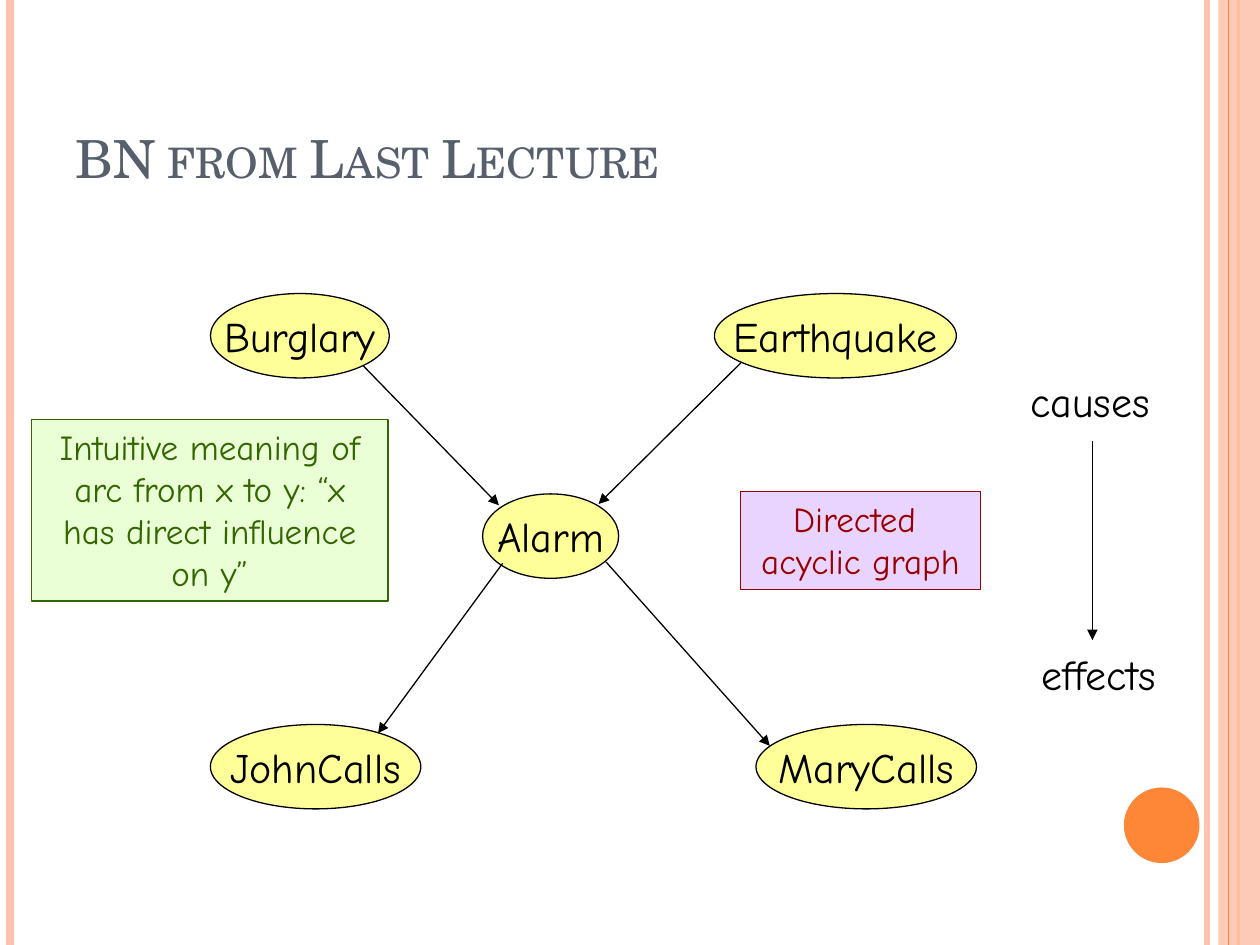
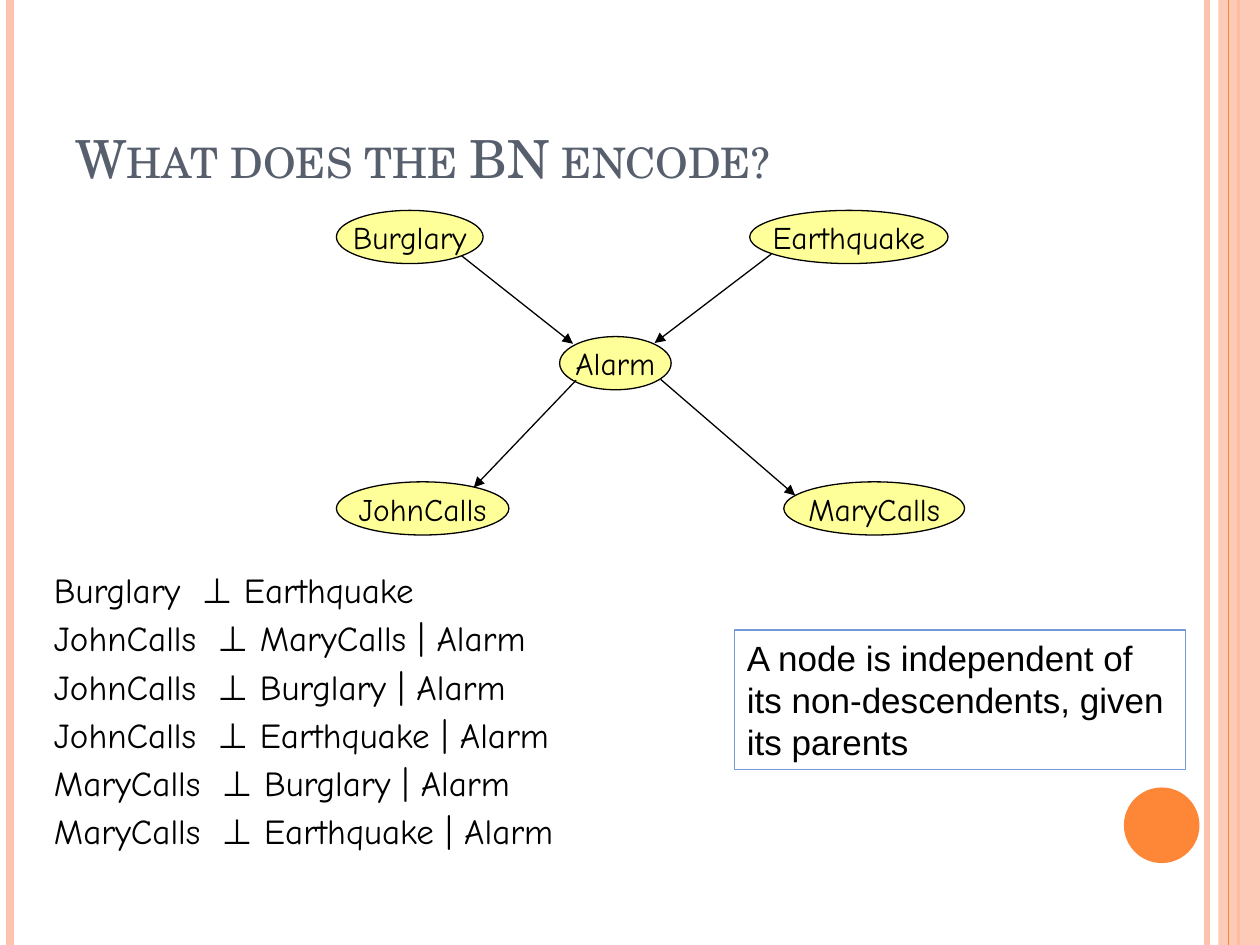
from pptx import Presentation
from pptx.util import Inches, Pt
from pptx.dml.color import RGBColor as RGB
from pptx.enum.shapes import MSO_SHAPE as Shape, MSO_CONNECTOR as Conn
from pptx.enum.text import PP_ALIGN as Align, MSO_ANCHOR as Anchor
from pptx.oxml.ns import qn
from lxml.etree import SubElement as Sub

PEACH = RGB(0xFE, 0xC3, 0xAE)
ORANGE = RGB(0xFE, 0x86, 0x37)
SLATE = RGB(0x57, 0x5F, 0x6D)
BLACK = RGB(0, 0, 0)
CREAM = RGB(0xFF, 0xFF, 0x99)
LILAC = RGB(0xE9, 0xD3, 0xFF)
RED = RGB(0x99, 0, 0)
MINT = RGB(0xEA, 0xFF, 0xD5)
GREEN = RGB(0x33, 0x66, 0)
BLUE = RGB(0x75, 0x98, 0xD9)
SERIF, HAND, SANS = "TeX Gyre Schola", "Comic Neue", "Arial"


def write(frame, lines, size, face=HAND, color=BLACK, align=Align.LEFT,
          anchor=Anchor.TOP, wrap=True):
    frame.word_wrap = wrap
    frame.vertical_anchor = anchor
    for i, line in enumerate(lines):
        par = frame.paragraphs[0] if i == 0 else frame.add_paragraph()
        par.alignment = align
        for j, part in enumerate(line):
            if part == "\n":
                par.add_line_break()
                continue
            run = par.add_run()
            run.text = part
            run.font.size = Pt(size)
            run.font.name = face
            run.font.color.rgb = color


def link(slide, ends, color=BLACK, width=0.75, head=True):
    line = slide.shapes.add_connector(Conn.STRAIGHT, *map(Inches, ends))
    line.line.color.rgb = color
    line.line.width = Pt(width)
    if head:
        Sub(line.line._get_or_add_ln(), qn("a:tailEnd"), type="triangle")
    Sub(line._element.spPr, qn("a:effectLst"))
    return line


deck = Presentation()
deck.slide_width, deck.slide_height = Inches(10), Inches(7.5)

nodes = [("Burglary", 1.67, 2.33, 1.42), ("Earthquake", 5.67, 2.33, 1.92),
         ("Alarm", 3.83, 3.92, 1.08), ("MaryCalls", 6, 5.75, 1.75),
         ("JohnCalls", 1.67, 5.75, 1.67)]
arcs = [(2.88, 2.9, 3.96, 4.01), (5.88, 2.88, 4.75, 4),
        (3.99, 4.47, 3, 5.82), (4.81, 4.46, 6.11, 5.92)]
left, top, tall = 1.67, 2.33, 0.67

pages = [
    ("BN from Last Lecture", (1.67, 2.33, 1, 1), 24, [
        ((5.88, 3.9, 1.9, 0.78), LILAC, RED, RED, HAND, Align.CENTER,
         ["Directed ", "\n", "acyclic graph"]),
        ((0.25, 3.33, 2.83, 1.44), MINT, GREEN, GREEN, HAND, Align.CENTER,
         ["Intuitive meaning of arc from x to y: “x has direct influence on y”"])]),
    ("What does the BN encode?", (2.67, 1.67, 0.82, 0.63), 18, [
        ((5.83, 5, 3.58, 1.11), None, BLUE, BLACK, SANS, Align.LEFT,
         ["A node is independent of its non-descendents, given its parents"])]),
]

for title, (x0, y0, sx, sy), size, notes in pages:
    slide = deck.slides.add_slide(deck.slide_layouts[6])
    shapes = slide.shapes

    for x, color, width in [(9.58, PEACH, 3), (0.08, PEACH, 4.5), (9.83, ORANGE, 1.5)]:
        link(slide, (x, 0, x, 7.5), color, width, False)
    for kind, box, color in [(Shape.RECTANGLE, (9.67, 0, 0.33, 7.5), PEACH),
                             (Shape.OVAL, (8.92, 6.25, 0.6, 0.6), ORANGE)]:
        band = shapes.add_shape(kind, *map(Inches, box))
        band.shadow.inherit = False
        band.fill.solid()
        band.fill.fore_color.rgb = color
        band.line.fill.background()
        if color == PEACH:
            tint = band._element.spPr.find(".//" + qn("a:srgbClr"))
            Sub(tint, qn("a:alpha"), val="87000")
            link(slide, (9.75, 0, 9.75, 7.5), ORANGE, 0.75, False)

    head = shapes.add_textbox(*map(Inches, (0.5, 0.3, 8.17, 1.25))).text_frame
    write(head, [[title]], 30, SERIF, SLATE, anchor=Anchor.BOTTOM)
    head.paragraphs[0].runs[0].font._element.set("cap", "small")

    for name, x, y, wide in nodes:
        box = (x0 + (x - left) * sx, y0 + (y - top) * sy, wide * sx, tall * sy)
        node = shapes.add_shape(Shape.OVAL, *map(Inches, box))
        node.shadow.inherit = False
        node.fill.solid()
        node.fill.fore_color.rgb = CREAM
        node.line.color.rgb = BLACK
        node.line.width = Pt(0.75)
        write(node.text_frame, [[name]], size, align=Align.CENTER,
              anchor=Anchor.MIDDLE, wrap=False)
    for x1, y1, x2, y2 in arcs:
        link(slide, (x0 + (x1 - left) * sx, y0 + (y1 - top) * sy,
                     x0 + (x2 - left) * sx, y0 + (y2 - top) * sy))

    for box, fill, edge, ink, face, align, text in notes:
        note = shapes.add_shape(Shape.RECTANGLE, *map(Inches, box))
        note.shadow.inherit = False
        if fill:
            note.fill.solid()
            note.fill.fore_color.rgb = fill
        else:
            note.fill.background()
        note.line.color.rgb = edge
        note.line.width = Pt(0.75)
        write(note.text_frame, [text], 20, face, ink, align)

first, last = deck.slides

for word, box in [("causes", (8.08, 2.93, 1.22, 0.5)),
                  ("effects", (8.17, 5.1, 1.4, 0.5))]:
    label = first.shapes.add_textbox(*map(Inches, box))
    write(label.text_frame, [[word]], 24)
link(first, (8.67, 3.5, 8.67, 5.08))

facts = [("Burglary", "Earthquake"), ("JohnCalls", "MaryCalls | Alarm"),
         ("JohnCalls", "Burglary | Alarm"), ("JohnCalls", "Earthquake | Alarm"),
         ("MaryCalls", "Burglary | Alarm"), ("MaryCalls", "Earthquake | Alarm")]
body = last.shapes.add_textbox(*map(Inches, (0.33, 4.5, 7.25, 2.33))).text_frame
write(body, [[a, " ", "⊥ " + b] for a, b in facts], 20)
for i, par in enumerate(body.paragraphs):
    par.line_spacing = 0.9
    par.space_before = Pt(6 if i else 0)
    par.runs[1].font._element.set("spc", "550")

deck.save("out.pptx")
